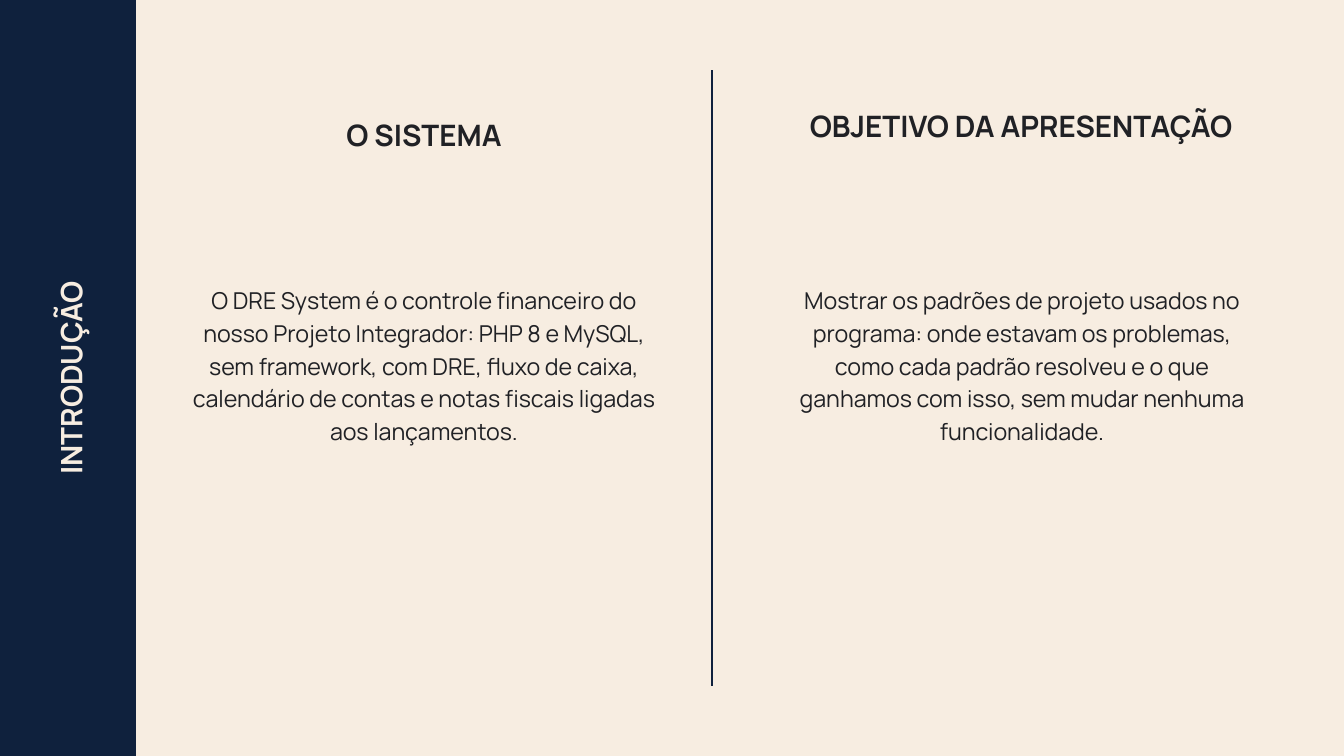
from pptx import Presentation
from pptx.dml.color import RGBColor
from pptx.enum.shapes import MSO_CONNECTOR, MSO_SHAPE
from pptx.enum.text import MSO_ANCHOR, MSO_AUTO_SIZE, PP_ALIGN
from pptx.util import Emu, Pt
from lxml.etree import SubElement
from pptx.oxml.ns import qn

NAVY, CREAM, INK = "0F213D", "F7EDE1", "202125"
EMU_PER_PX = 914400 / 67.2
SLIDE_SIZE = (1344, 756)
SIDEBAR = (0, 0, 136, 756)
DIVIDER = (712, 686, 712, 70)

TITLE = ("INTRODUÇÃO", (-130, 359, 408, 38))
# heading, heading box, body, body left edge
COLUMNS = [
    ("O SISTEMA", (220, 119, 408, 104),
     "O DRE System é o controle financeiro do nosso Projeto Integrador: "
     "PHP 8 e MySQL, sem framework, com DRE, fluxo de caixa, calendário de "
     "contas e notas fiscais ligadas aos lançamentos.", 190),
    ("OBJETIVO DA APRESENTAÇÃO", (784, 110, 474, 137),
     "Mostrar os padrões de projeto usados no programa: onde estavam os "
     "problemas, como cada padrão resolveu e o que ganhamos com isso, sem "
     "mudar nenhuma funcionalidade.", 788),
]
BODY_TOP, BODY_WIDTH, BODY_HEIGHT = 282, 468, 325

HEADING_STYLE = {"size": Pt(31.6), "bold": True}
BODY_STYLE = {"size": Pt(24.9), "bold": False}
HEADING_LEADING, BODY_LEADING = Pt(35.7), Pt(34.9)
FRAME_FORMAT = {
    "margin_left": 0, "margin_top": 0, "margin_right": 0, "margin_bottom": 0,
    "word_wrap": True, "vertical_anchor": MSO_ANCHOR.TOP,
    "auto_size": MSO_AUTO_SIZE.SHAPE_TO_FIT_TEXT,
}


def px(*values):
    return [Emu(round(value * EMU_PER_PX)) for value in values]


def color(hex_value):
    return RGBColor.from_string(hex_value)


def set_attributes(target, values):
    for name, value in values.items():
        setattr(target, name, value)


def write_text(shape, text, style, leading, hex_value=INK):
    frame = shape.text_frame
    set_attributes(frame, FRAME_FORMAT)
    paragraph = frame.paragraphs[0]
    set_attributes(paragraph, {"alignment": PP_ALIGN.CENTER,
                               "line_spacing": leading, "space_before": Pt(0)})
    run = paragraph.add_run()
    run.text = text
    set_attributes(run.font, {"name": "Manrope", **style})
    run.font.color.rgb = color(hex_value)


def add_title(slide):
    text, box = TITLE
    title = slide.shapes.title
    names = ("left", "top", "width", "height")
    set_attributes(title, dict(zip(names, px(*box))))
    title.rotation = 270
    write_text(title, text, HEADING_STYLE, HEADING_LEADING, CREAM)


def add_sidebar(slide):
    sidebar = slide.shapes.add_shape(MSO_SHAPE.RECTANGLE, *px(*SIDEBAR))
    sidebar.shadow.inherit = False
    sidebar.fill.solid()
    sidebar.fill.fore_color.rgb = color(NAVY)
    sidebar.line.fill.background()
    # Keep the sidebar behind the title
    slide.shapes.title.element.addprevious(sidebar.element)


def add_divider(slide):
    divider = slide.shapes.add_connector(MSO_CONNECTOR.STRAIGHT, *px(*DIVIDER))
    divider.line.color.rgb = color(NAVY)
    divider.line.width = Pt(3)
    SubElement(divider.element.spPr, qn("a:effectLst"))


def add_column(slide, heading, heading_box, body, body_left):
    body_box = (body_left, BODY_TOP, BODY_WIDTH, BODY_HEIGHT)
    for text, box, style, leading in (
            (heading, heading_box, HEADING_STYLE, HEADING_LEADING),
            (body, body_box, BODY_STYLE, BODY_LEADING)):
        write_text(slide.shapes.add_textbox(*px(*box)), text, style, leading)


def main():
    presentation = Presentation()
    presentation.slide_width, presentation.slide_height = px(*SLIDE_SIZE)
    slide = presentation.slides.add_slide(presentation.slide_layouts[5])
    slide.background.fill.solid()
    slide.background.fill.fore_color.rgb = color(CREAM)
    add_title(slide)
    add_sidebar(slide)
    add_divider(slide)
    for column in COLUMNS:
        add_column(slide, *column)
    presentation.save("out.pptx")


if __name__ == "__main__":
    main()
